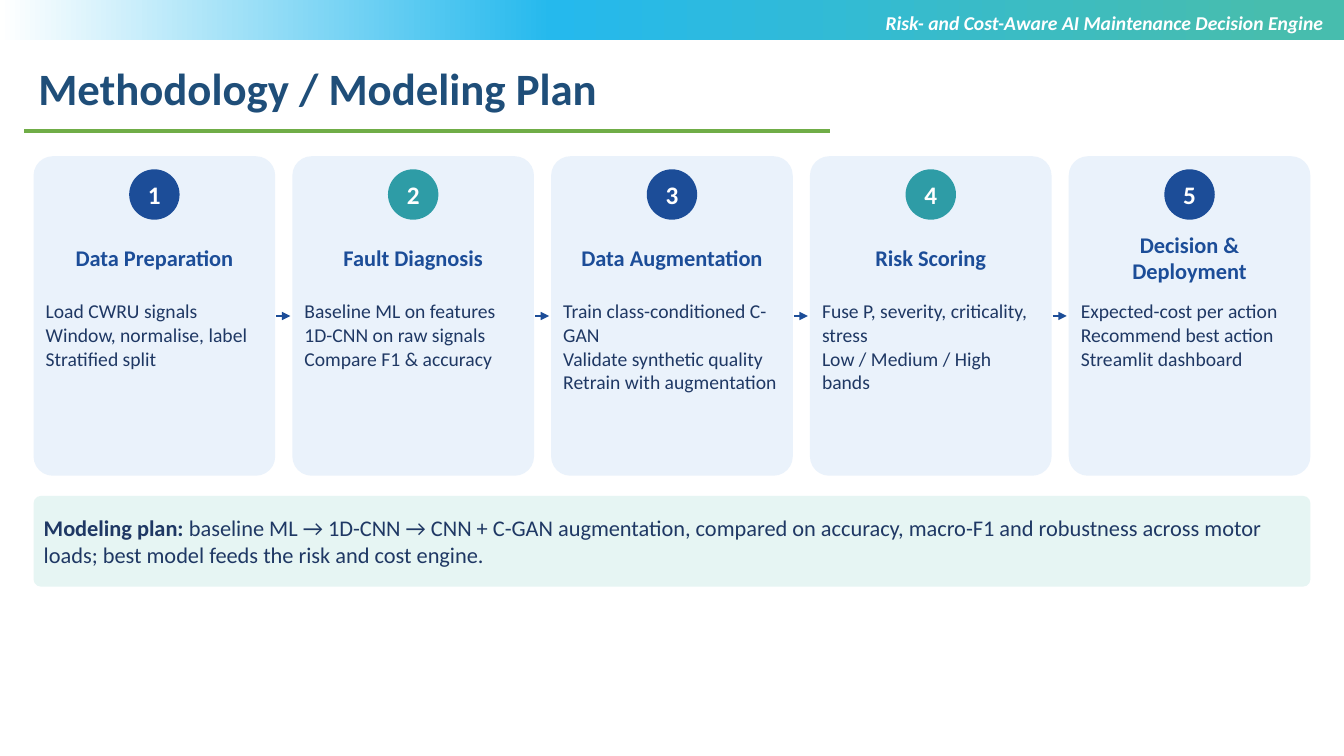
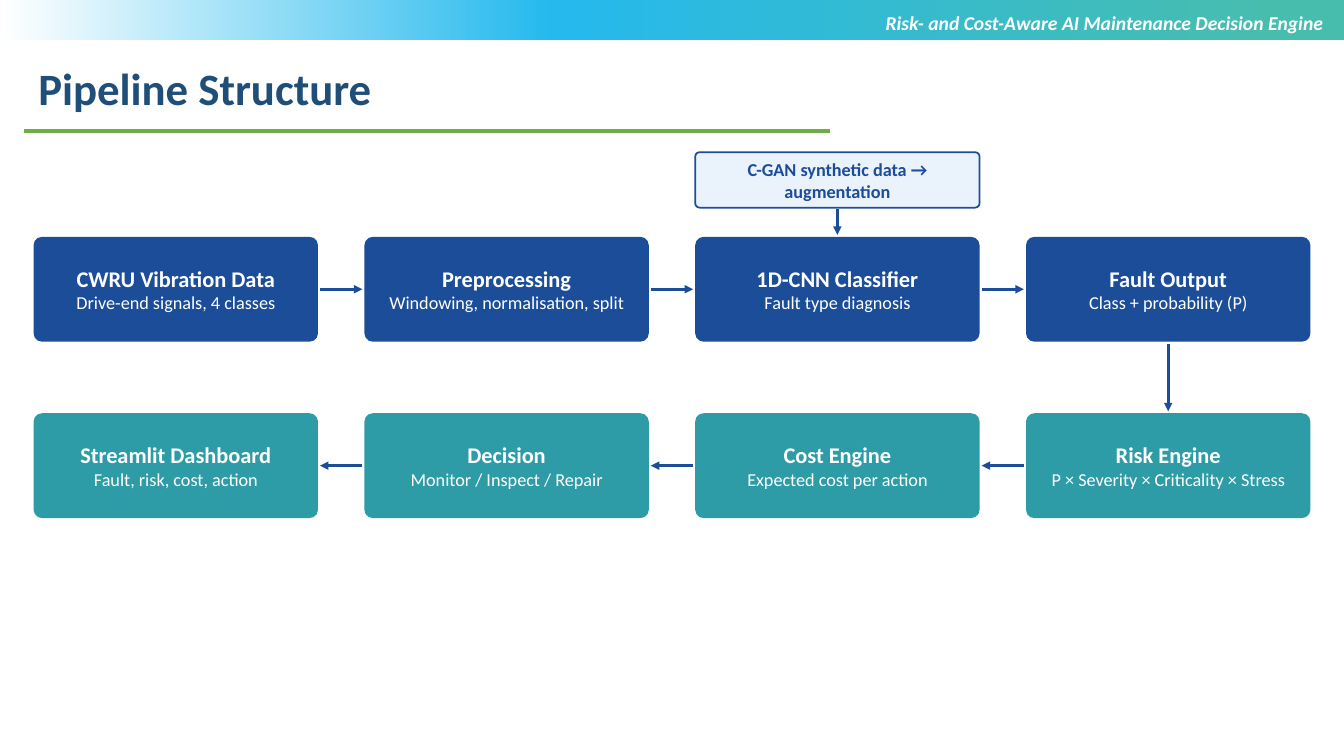
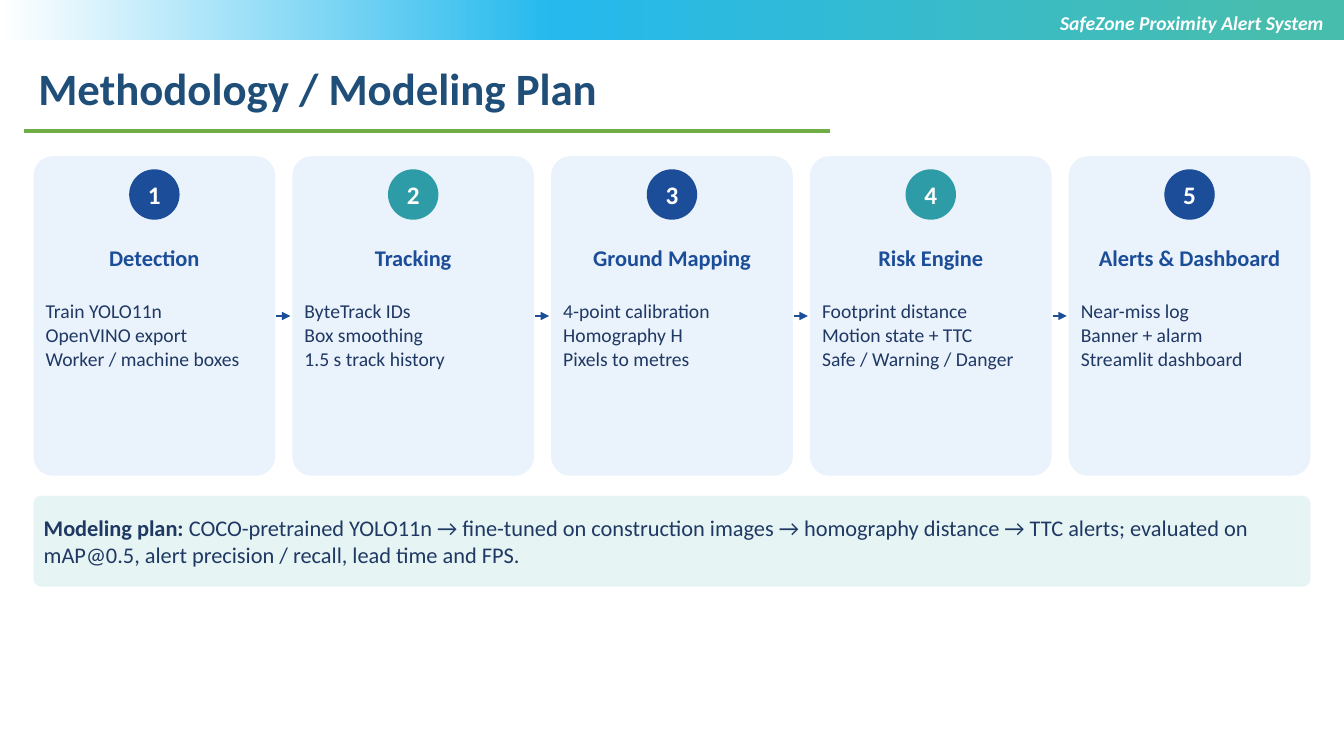
"""Build three slides on a modelling plan and its pipeline, sharing one banded layout."""
import copy

import pptx
import pptx.dml.color
import pptx.enum.shapes
import pptx.enum.text
import pptx.oxml.ns
import pptx.util

RGBColor = pptx.dml.color.RGBColor
WHITE = RGBColor(0xFF, 0xFF, 0xFF)
BLUE = RGBColor(0x1C, 0x4D, 0x98)
TEAL = RGBColor(0x2E, 0x9C, 0xA6)
NAVY = RGBColor(0x1F, 0x38, 0x64)
TITLE_BLUE = RGBColor(0x1F, 0x4E, 0x79)
RULE_GREEN = RGBColor(0x70, 0xAD, 0x47)
PALE_BLUE = RGBColor(0xEA, 0xF2, 0xFB)
PALE_TEAL = RGBColor(0xE6, 0xF5, 0xF3)
BAND_STOPS = [
    (0.05, RGBColor(0x47, 0xBD, 0xAE)),
    (0.59, RGBColor(0x25, 0xB9, 0xED)),
    (1, WHITE),
]

FONT = "Calibri"
Inches = pptx.util.Inches
SHAPES = pptx.enum.shapes.MSO_SHAPE
ANCHORS = pptx.enum.text.MSO_ANCHOR
ALIGNMENTS = pptx.enum.text.PP_ALIGN

WIDTH, HEIGHT = 13.33, 7.5
MARGIN = WIDTH / 40
CONTENT_WIDTH = WIDTH - 2 * MARGIN

CARD_GAP = 0.17
CARD_WIDTH = (CONTENT_WIDTH - 4 * CARD_GAP) / 5
CARD_TOP, CARD_HEIGHT = 1.55, 3.17
BADGE_SIZE = 0.5
CARD_PADDING = 0.04

NODE_GAP = 0.46
NODE_WIDTH = (CONTENT_WIDTH - 3 * NODE_GAP) / 4
NODE_HEIGHT = 1.04
ROW_TOPS = [2.35, 4.1]
ARROW_CLEARANCE = 0.02

ENGINE = "Risk- and Cost-Aware AI Maintenance Decision Engine"
METHODOLOGY = "Methodology / Modeling Plan"

SLIDES = [
    {
        "title": METHODOLOGY,
        "project": ENGINE,
        "steps": [
            ("Data Preparation", ["Load CWRU signals", "Window, normalise, label", "Stratified split"]),
            ("Fault Diagnosis", ["Baseline ML on features", "1D-CNN on raw signals", "Compare F1 & accuracy"]),
            ("Data Augmentation", ["Train class-conditioned C-GAN", "Validate synthetic quality",
                                   "Retrain with augmentation"]),
            ("Risk Scoring", ["Fuse P, severity, criticality, stress", "Low / Medium / High bands"]),
            ("Decision & Deployment", ["Expected-cost per action", "Recommend best action",
                                       "Streamlit dashboard"]),
        ],
        "plan": "baseline ML → 1D-CNN → CNN + C-GAN augmentation, compared on accuracy, macro-F1 and "
                "robustness across motor loads; best model feeds the risk and cost engine.",
    },
    {
        "title": "Pipeline Structure",
        "project": ENGINE,
        "rows": [
            [
                ("CWRU Vibration Data", "Drive-end signals, 4 classes"),
                ("Preprocessing", "Windowing, normalisation, split"),
                ("1D-CNN Classifier", "Fault type diagnosis"),
                ("Fault Output", "Class + probability (P)"),
            ],
            [
                ("Streamlit Dashboard", "Fault, risk, cost, action"),
                ("Decision", "Monitor / Inspect / Repair"),
                ("Cost Engine", "Expected cost per action"),
                ("Risk Engine", "P × Severity × Criticality × Stress"),
            ],
        ],
    },
    {
        "title": METHODOLOGY,
        "project": "SafeZone Proximity Alert System",
        "steps": [
            ("Detection", ["Train YOLO11n", "OpenVINO export", "Worker / machine boxes"]),
            ("Tracking", ["ByteTrack IDs", "Box smoothing", "1.5 s track history"]),
            ("Ground Mapping", ["4-point calibration", "Homography H", "Pixels to metres"]),
            ("Risk Engine", ["Footprint distance", "Motion state + TTC", "Safe / Warning / Danger"]),
            ("Alerts & Dashboard", ["Near-miss log", "Banner + alarm", "Streamlit dashboard"]),
        ],
        "plan": "COCO-pretrained YOLO11n → fine-tuned on construction images → homography distance → "
                "TTC alerts; evaluated on mAP@0.5, alert precision / recall, lead time and FPS.",
    },
]


def add_box(slide, preset, left, top, width, height, fill=None, lines=(), color=WHITE,
            align=ALIGNMENTS.CENTER, anchor=ANCHORS.MIDDLE, inset=0.04):
    """Add a filled shape, or a text box if preset is None, with (text, size, bold) lines."""
    place = [Inches(length) for length in (left, top, width, height)]
    if preset is None:
        shape = slide.shapes.add_textbox(*place)
    else:
        shape = slide.shapes.add_shape(preset, *place)
        shape.shadow.inherit = False
        shape.fill.solid()
        shape.fill.fore_color.rgb = fill
        shape.line.fill.background()
        if preset == SHAPES.ROUNDED_RECTANGLE:
            shape.adjustments[0] = 0.08
    frame = shape.text_frame
    frame.word_wrap = True
    frame.vertical_anchor = anchor
    frame.margin_left = frame.margin_right = Inches(0.08)
    frame.margin_top = frame.margin_bottom = Inches(inset)
    for index, (text, size, bold) in enumerate(lines):
        paragraph = frame.add_paragraph() if index else frame.paragraphs[0]
        paragraph.text = text
        paragraph.alignment = align
        paragraph.font.name = FONT
        paragraph.font.size = pptx.util.Pt(size)
        paragraph.font.bold = bold
        paragraph.font.color.rgb = color
    return shape


def add_line(slide, start, end, color=BLUE, weight=2, arrow=True):
    """Add a straight connector, with an arrowhead at its end if wanted."""
    connector = slide.shapes.add_connector(
        pptx.enum.shapes.MSO_CONNECTOR.STRAIGHT, *[Inches(length) for length in (*start, *end)])
    connector.line.color.rgb = color
    connector.line.width = pptx.util.Pt(weight)
    properties = connector.element.spPr
    if arrow:
        outline = properties.find(pptx.oxml.ns.qn("a:ln"))
        outline.append(pptx.oxml.parse_xml(
            f'<a:tailEnd {pptx.oxml.ns.nsdecls("a")} type="triangle"/>'))
    properties.append(pptx.oxml.parse_xml(f'<a:effectLst {pptx.oxml.ns.nsdecls("a")}/>'))
    return connector


presentation = pptx.Presentation()
presentation.slide_width = Inches(WIDTH)
presentation.slide_height = Inches(HEIGHT)
layout = presentation.slide_layouts.get_by_name("Title Only")
layout_title = layout.placeholders[0]
layout_title.left, layout_title.top = Inches(0.28), Inches(0.55)
layout_title.width, layout_title.height = Inches(11.62), Inches(0.71)

for number, content in enumerate(SLIDES):
    slide = presentation.slides.add_slide(layout)

    if number == 0:
        band = add_box(slide, SHAPES.RECTANGLE, 0, 0, WIDTH, 0.4, WHITE)
        band.fill.gradient()
        band.fill.gradient_angle = 180
        stop_list = band.element.spPr.find(".//" + pptx.oxml.ns.qn("a:gsLst"))
        stop_list.append(copy.deepcopy(stop_list[0]))
        for stop, (position, color) in zip(band.fill.gradient_stops, BAND_STOPS):
            stop.position = position
            stop.color.rgb = color
        rule = add_line(slide, (0.24, 1.3), (8.23, 1.3), RULE_GREEN, 2.25, arrow=False)
        for shared in (band, rule):
            layout.shapes.element.append(shared.element)

    title_frame = slide.shapes.title.text_frame
    title_frame.text = content["title"]
    title_frame.vertical_anchor = ANCHORS.TOP
    title_frame.auto_size = pptx.enum.text.MSO_AUTO_SIZE.NONE
    heading = title_frame.paragraphs[0]
    heading.alignment = ALIGNMENTS.LEFT
    heading.font.name = FONT
    heading.font.size = pptx.util.Pt(32)
    heading.font.bold = True
    heading.font.color.rgb = TITLE_BLUE

    project = add_box(slide, None, 3.5, 0.06, 9.71, 0.4, lines=[(content["project"], 14, True)],
                      align=ALIGNMENTS.RIGHT, anchor=ANCHORS.TOP, inset=0.05)
    project.text_frame.paragraphs[0].font.italic = True

    if "steps" in content:
        for column, (name, tasks) in enumerate(content["steps"]):
            left = MARGIN + column * (CARD_WIDTH + CARD_GAP)
            text_left, text_width = left + CARD_PADDING, CARD_WIDTH - 2 * CARD_PADDING
            add_box(slide, SHAPES.ROUNDED_RECTANGLE, left, CARD_TOP, CARD_WIDTH, CARD_HEIGHT, PALE_BLUE)
            add_box(slide, SHAPES.OVAL, left + (CARD_WIDTH - BADGE_SIZE) / 2, CARD_TOP + 0.13,
                    BADGE_SIZE, BADGE_SIZE, (BLUE, TEAL)[column % 2], [(str(column + 1), 18, True)])
            add_box(slide, None, text_left, CARD_TOP + 0.7, text_width, 0.61,
                    lines=[(name, 16, True)], color=BLUE, inset=0.08)
            add_box(slide, None, text_left, CARD_TOP + 1.34, text_width, 1.79,
                    lines=[(task, 14, False) for task in tasks], color=NAVY,
                    align=ALIGNMENTS.LEFT, anchor=ANCHORS.TOP, inset=0.08)
            if column:
                middle = CARD_TOP + CARD_HEIGHT / 2
                add_line(slide, (left - CARD_GAP + 0.01, middle), (left - 0.02, middle))

        plan = add_box(slide, SHAPES.ROUNDED_RECTANGLE, MARGIN, 4.92, CONTENT_WIDTH, 0.9, PALE_TEAL,
                       [("Modeling plan: ", 16, False)], NAVY, ALIGNMENTS.LEFT)
        sentence = plan.text_frame.paragraphs[0]
        sentence.runs[0].font.bold = True
        sentence.add_run().text = content["plan"]
    else:
        node_lefts = [MARGIN + column * (NODE_WIDTH + NODE_GAP) for column in range(4)]
        for row, (top, nodes) in enumerate(zip(ROW_TOPS, content["rows"])):
            middle = top + NODE_HEIGHT / 2
            for column, (left, (name, detail)) in enumerate(zip(node_lefts, nodes)):
                add_box(slide, SHAPES.ROUNDED_RECTANGLE, left, top, NODE_WIDTH, NODE_HEIGHT,
                        (BLUE, TEAL)[row], [(name, 16, True), (detail, 13, False)])
                if column:
                    ends = [(left - NODE_GAP + ARROW_CLEARANCE, middle), (left - ARROW_CLEARANCE, middle)]
                    add_line(slide, *(reversed(ends) if row else ends))

        last_center = node_lefts[3] + NODE_WIDTH / 2
        add_line(slide, (last_center, ROW_TOPS[0] + NODE_HEIGHT + ARROW_CLEARANCE),
                 (last_center, ROW_TOPS[1] - ARROW_CLEARANCE))

        augmentation = add_box(slide, SHAPES.ROUNDED_RECTANGLE, node_lefts[2], 1.51, NODE_WIDTH, 0.55,
                               PALE_BLUE, [("C-GAN synthetic data → augmentation", 13, True)], BLUE)
        augmentation.line.color.rgb = BLUE
        augmentation.line.width = pptx.util.Pt(1.25)
        classifier_center = node_lefts[2] + NODE_WIDTH / 2
        add_line(slide, (classifier_center, 2.07), (classifier_center, ROW_TOPS[0] - ARROW_CLEARANCE))

presentation.save("out.pptx")
